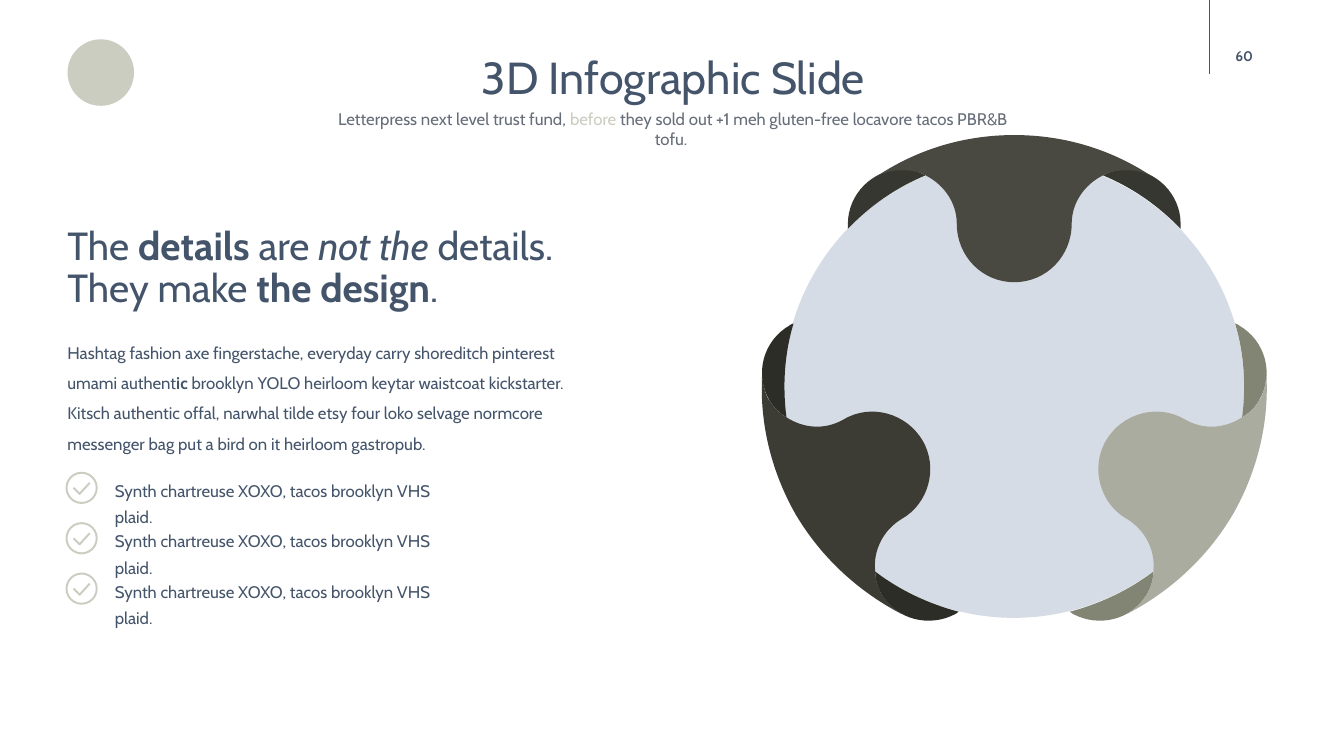
from pptx import Presentation
from pptx import util as u
from pptx.dml.color import RGBColor
from pptx.enum import shapes, text
from pptx.oxml.ns import qn
from lxml import etree

PX = 9144
FONT, NAVY, GREY, SAGE, WHITE = "Cabin", "44546A", "656D78", "CBCDC0", "FFFFFF"

TITLE = [("3D Infographic Slide", {})]
SUBTITLE = [
    ("Letterpress next level trust fund, ", {}),
    ("before", {"color": SAGE}),
    (" they sold out +1 meh gluten-free locavore tacos PBR&B tofu. ", {}),
]
QUOTE = [
    ("The ", {}), ("details", {"bold": True}), (" are ", {}),
    ("not the ", {"italic": True}), ("details. They make ", {}),
    ("the design", {"bold": True}), (".", {}),
]
BODY = [
    ("Hashtag fashion axe fingerstache, everyday carry shoreditch pinterest umami authent", {}),
    ("ic ", {"bold": True}),
    ("brooklyn YOLO heirloom keytar waistcoat kickstarter. Kitsch authentic offal, narwhal "
     "tilde etsy four loko selvage normcore messenger bag put a bird on it heirloom gastropub.", {}),
]
CHECKLIST = ["Synth chartreuse XOXO, tacos brooklyn VHS plaid."] * 3

GLOBE = (777, 157, 457, 456)
AXIS = 1006
SHOULDER = [(918, 174), (911, 170), (903, 168), (895, 168), (865, 168), (841, 193), (841, 222),
            (841, 224), (841, 226), (841, 227), (863, 204), (889, 186), (918, 174)]
FIN = [(787, 321), (786, 321), (784, 322), (783, 323), (757, 338), (748, 371), (763, 397),
       (767, 404), (773, 410), (780, 414), (776, 383), (778, 351), (787, 321)]
FOOT = [(868, 567), (868, 574), (870, 582), (874, 589), (889, 615), (922, 623), (948, 609),
        (949, 608), (951, 607), (951, 607), (921, 599), (893, 586), (868, 567)]
LEG = [(789, 510), (815, 554), (852, 587), (894, 609), (886, 604), (880, 598), (875, 590),
       (874, 590), (874, 589), (874, 589), (870, 581), (868, 574), (868, 566),
       (866, 546), (876, 526), (894, 515), (921, 500), (931, 464), (915, 437),
       (899, 410), (864, 400), (837, 416), (818, 427), (797, 425), (780, 414),
       (773, 410), (767, 404), (763, 397), (763, 396), (763, 396), (762, 396),
       (758, 388), (756, 378), (756, 370), (753, 417), (764, 466), (789, 510)]
HALF_CROWN = [(1006, 134), (955, 134), (908, 149), (868, 176), (876, 171), (884, 169), (893, 169),
              (894, 169), (894, 169), (895, 169), (903, 169), (911, 170), (918, 174),
              (936, 183), (949, 201), (949, 222), (949, 254), (974, 280), (1006, 280)]
PAIRS = [(FIN, "2D2D27", "828573"), (FOOT, "2D2D27", "828573"),
         (LEG, "3C3C34", "AAAC9F"), (SHOULDER, "373731", "373731")]

deck = Presentation()
deck.slide_width, deck.slide_height = 1333 * PX, 750 * PX
slide = deck.slides.add_slide(deck.slide_layouts[6])


def rgb(color):
    return RGBColor.from_string(color)


def paint(shape, fill, line=None, weight=1.38):
    shape.shadow.inherit = False
    shape.fill.solid()
    shape.fill.fore_color.rgb = rgb(fill)
    if line:
        shape.line.color.rgb = rgb(line)
        shape.line.width = u.Pt(weight)
    else:
        shape.line.fill.background()


def ellipse(box, fill, line=None):
    paint(slide.shapes.add_shape(shapes.MSO_SHAPE.OVAL, *[v * PX for v in box]), fill, line)


def outline(points, fill, line=None, curved=True):
    builder = slide.shapes.build_freeform(*points[0], scale=PX)
    builder.add_line_segments(points[1:], close=curved)
    shape = builder.convert_to_shape()
    if curved:
        segments = list(shape.element.iter(qn("a:lnTo")))
        if points[0] == points[-1]:
            segments = segments[:len(points) - 1]
        for first in range(0, len(segments), 3):
            curve = etree.Element(qn("a:cubicBezTo"))
            segments[first].addprevious(curve)
            for segment in segments[first:first + 3]:
                curve.append(segment[0])
                segment.getparent().remove(segment)
    paint(shape, fill, line)


def mirror(points):
    return [(2 * AXIS - x, y) for x, y in points]


def write(runs, box, size=12, color=NAVY, align="LEFT", spacing=None, bold=False,
          inset=None, anchor="TOP", grow=True):
    frame = slide.shapes.add_textbox(*[v * PX for v in box]).text_frame
    frame.word_wrap = True
    frame.vertical_anchor = text.MSO_ANCHOR[anchor]
    if grow:
        frame.auto_size = text.MSO_AUTO_SIZE.SHAPE_TO_FIT_TEXT
    if inset is not None:
        frame.margin_left = frame.margin_right = inset
        frame.margin_top = frame.margin_bottom = inset
    paragraph = frame.paragraphs[0]
    paragraph.alignment = text.PP_ALIGN[align]
    if spacing:
        paragraph.line_spacing = spacing
    for words, style in runs:
        run = paragraph.add_run()
        run.text = words
        run.font.name, run.font.size = FONT, u.Pt(size)
        run.font.bold = style.get("bold", bold)
        run.font.italic = style.get("italic", False)
        run.font.color.rgb = rgb(style.get("color", color))


ellipse((67, 39, 66, 66), SAGE)
rule = slide.shapes.add_connector(shapes.MSO_CONNECTOR.STRAIGHT, 1200 * PX, 0, 1200 * PX, 73 * PX)
rule.line.color.rgb = rgb(NAVY)
rule.line.width = u.Pt(0.75)
etree.SubElement(rule.element.spPr, qn("a:effectLst"))
write([("60", {})], (1194, 36, 80, 40), size=10, bold=True, align="CENTER",
      inset=0, anchor="MIDDLE", grow=False)
write(TITLE, (255, 44, 826, 64), size=32, align="CENTER")
write(SUBTITLE, (320, 103, 695, 30), color=GREY, align="CENTER")

ellipse(GLOBE, "D6DCE5")
for half, left_color, right_color in PAIRS:
    outline(half, left_color)
    outline(mirror(half), right_color)
outline(HALF_CROWN + mirror(HALF_CROWN)[-2::-1], "494941")

write(QUOTE, (57, 220, 546, 95), size=28, spacing=0.9)
write(BODY, (57, 325, 532, 131), spacing=1.5)
for row, item in enumerate(CHECKLIST):
    top = 469 + 50 * row
    ellipse((66, top, 30, 30), WHITE, SAGE)
    outline([(73, top + 15), (79, top + 21), (89, top + 10)], WHITE, SAGE, curved=False)
    write([(item, {})], (104, top - 3, 355, 34), spacing=1.3)

deck.save("out.pptx")
